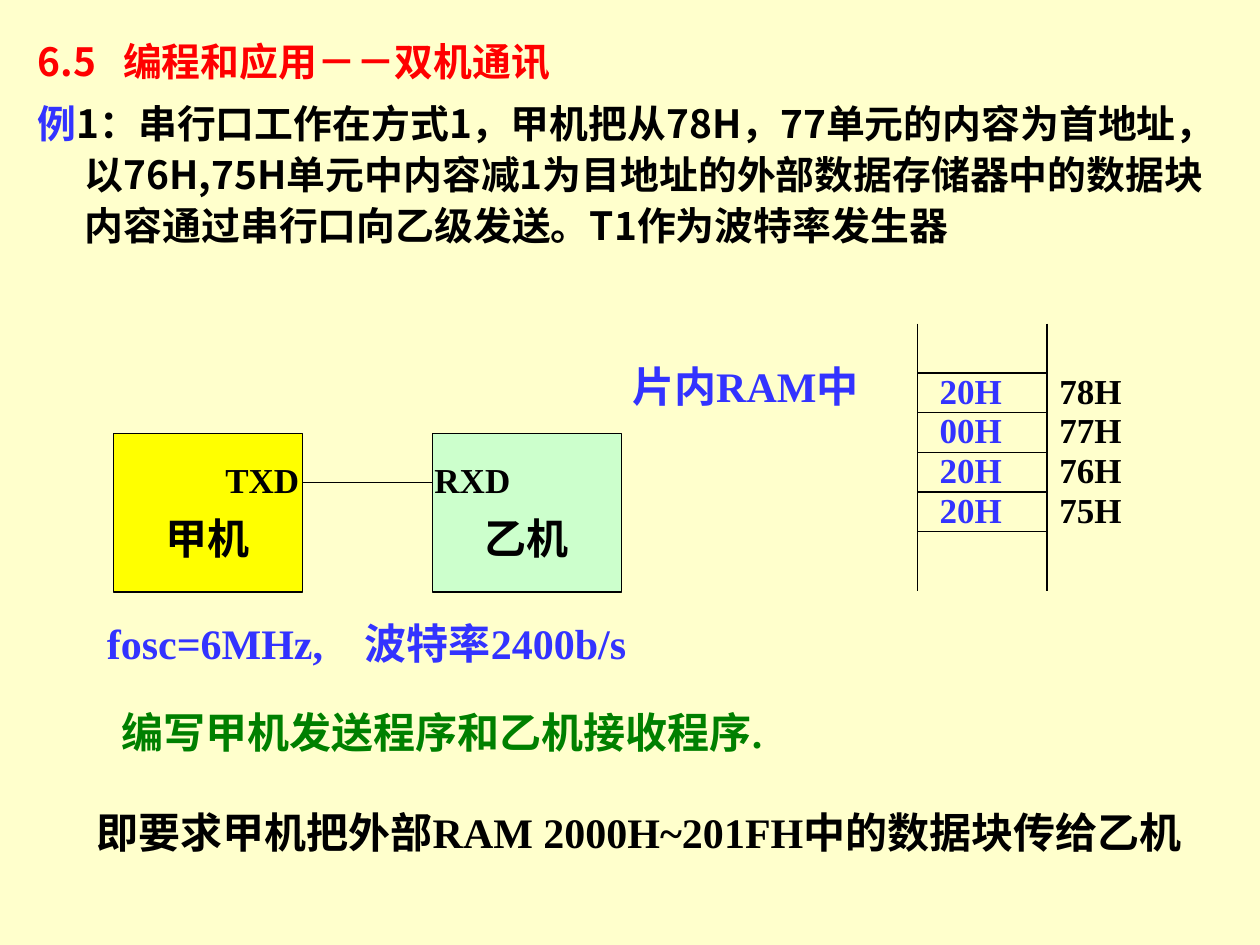
"""Build the slide on serial communication between two machines."""
from lxml import etree
from pptx import Presentation
from pptx.dml.color import RGBColor
from pptx.enum import shapes, text
from pptx.oxml import ns
from pptx.util import Pt

CREAM = RGBColor(0xFF, 0xFF, 0xCC)
RED = RGBColor(0xFF, 0, 0)
BLUE = RGBColor(0x33, 0x33, 0xFF)
GREEN = RGBColor(0, 0x80, 0)
BLACK = RGBColor(0, 0, 0)
YELLOW = RGBColor(0xFF, 0xFF, 0)
MINT = RGBColor(0xCC, 0xFF, 0xCC)
SANS, SERIF = "Noto Sans CJK SC", "Times New Roman"

TITLE = "6.5\t编程和应用－－双机通讯"
EXAMPLE = [
    ("例", BLUE),
    ("1：串行口工作在方式1，甲机把从78H，77单元的内容为首地址，以76H,75H单元中内容减1为目地址的"
     "外部数据存储器中的数据块内容通过串行口向乙级发送。T1作为波特率发生器", BLACK),
]
MEMORY = [("20H", "78H"), ("00H", "77H"), ("20H", "76H"), ("20H", "75H")]
MACHINES = [("甲机", 64.8, YELLOW), ("乙机", 247, MINT)]
LABELS = [
    ("片内RAM中", 354.2, 202.3, 158.4, 36, 24, BLUE, None),
    ("TXD", 121.7, 258.5, 62.6, 31.7, 20, BLACK, None),
    ("RXD", 241.2, 258.5, 62.6, 31.7, 20, BLACK, None),
    ("fosc=6MHz,\t波特率2400b/s", 54, 349.2, 419.8, 36, 24, BLUE, 147.4),
    ("编写甲机发送程序和乙机接收程序.", 62.6, 400.3, 400, 36, 24, GREEN, None),
    ("即要求甲机把外部RAM 2000H~201FH中的数据块传给乙机", 48.2, 457.2, 640.8, 64.8, 24, BLACK, None),
]
MACHINE_TOP, MACHINE_WIDTH, MACHINE_HEIGHT, WIRE_Y = 247.7, 108, 90.7, 275.8
RAM_LEFT, RAM_RIGHT, RAM_TOP, RAM_BOTTOM = 524.2, 598.3, 185, 337.7
ROW_TOP, ROW_HEIGHT = 213.1, 22.7


def style(paragraph, size, color, name=SERIF, tab=None):
    if tab:
        stops = etree.SubElement(paragraph._p.get_or_add_pPr(), ns.qn("a:tabLst"))
        etree.SubElement(stops, ns.qn("a:tab"), pos=str(Pt(tab)), algn="l")
    font = paragraph.font
    font.size, font.bold, font.name = Pt(size), True, name
    font.color.rgb = color


def add_box(slide, left, top, width, height):
    frame = slide.shapes.add_textbox(Pt(left), Pt(top), Pt(width), Pt(height)).text_frame
    frame.word_wrap = True
    return frame


def add_label(slide, wording, left, top, width, height, size, color, tab=None):
    paragraph = add_box(slide, left, top, width, height).paragraphs[0]
    paragraph.text = wording
    style(paragraph, size, color, tab=tab)


def add_line(slide, x1, y1, x2, y2):
    line = slide.shapes.add_connector(
        shapes.MSO_CONNECTOR.STRAIGHT, Pt(x1), Pt(y1), Pt(x2), Pt(y2))
    line.line.color.rgb, line.line.width = BLACK, Pt(0.75)
    etree.SubElement(line._element.spPr, ns.qn("a:effectLst"))


def add_heading(slide):
    title = slide.shapes.title
    title.left, title.top, title.width, title.height = Pt(14.4), Pt(15.1), Pt(682.6), Pt(38)
    frame = title.text_frame
    frame.text = TITLE
    frame.vertical_anchor = text.MSO_ANCHOR.TOP
    paragraph = frame.paragraphs[0]
    paragraph.alignment, paragraph.line_spacing = text.PP_ALIGN.LEFT, 1.1
    style(paragraph, 22.2, RED, SANS, 48.7)

    paragraph = add_box(slide, 14.4, 50.5, 682.6, 120).paragraphs[0]
    properties = paragraph._p.get_or_add_pPr()
    properties.set("marL", str(Pt(27)))
    properties.set("indent", str(Pt(-27)))
    paragraph.line_spacing = 1.1
    for wording, color in EXAMPLE:
        run = paragraph.add_run()
        run.text = wording
        run.font.color.rgb = color
    style(paragraph, 22.2, BLACK, SANS)


def add_memory(slide):
    for x in (RAM_LEFT, RAM_RIGHT):
        add_line(slide, x, RAM_TOP, x, RAM_BOTTOM)
    for row in range(len(MEMORY) + 1):
        y = ROW_TOP + row * ROW_HEIGHT
        add_line(slide, RAM_LEFT, y, RAM_RIGHT, y)
    for row, (value, address) in enumerate(MEMORY):
        top = ROW_TOP + row * ROW_HEIGHT - 5.7
        add_label(slide, value, RAM_LEFT + 5.7, top, 79.2, 31.7, 20, BLUE)
        add_label(slide, address, RAM_RIGHT, top, 79.2, 31.7, 20, BLACK)


def add_machines(slide):
    for name, left, color in MACHINES:
        shape = slide.shapes.add_shape(
            shapes.MSO_SHAPE.RECTANGLE, Pt(left), Pt(MACHINE_TOP), Pt(MACHINE_WIDTH), Pt(MACHINE_HEIGHT))
        shape.shadow.inherit = False
        shape.fill.solid()
        shape.fill.fore_color.rgb = color
        shape.line.color.rgb, shape.line.width = BLACK, Pt(0.75)
        frame = shape.text_frame
        frame.margin_top = Pt(32)
        frame.vertical_anchor = text.MSO_ANCHOR.MIDDLE
        frame.text = name
        frame.paragraphs[0].alignment = text.PP_ALIGN.CENTER
        style(frame.paragraphs[0], 24, BLACK)
    add_line(slide, MACHINES[0][1] + MACHINE_WIDTH, WIRE_Y, MACHINES[1][1], WIRE_Y)


def main():
    presentation = Presentation()
    presentation.slide_width, presentation.slide_height = Pt(720), Pt(540)
    slide = presentation.slides.add_slide(presentation.slide_layouts[5])
    slide.background.fill.solid()
    slide.background.fill.fore_color.rgb = CREAM
    add_heading(slide)
    add_memory(slide)
    add_machines(slide)
    for label in LABELS:
        add_label(slide, *label)
    presentation.save("out.pptx")


if __name__ == "__main__":
    main()
